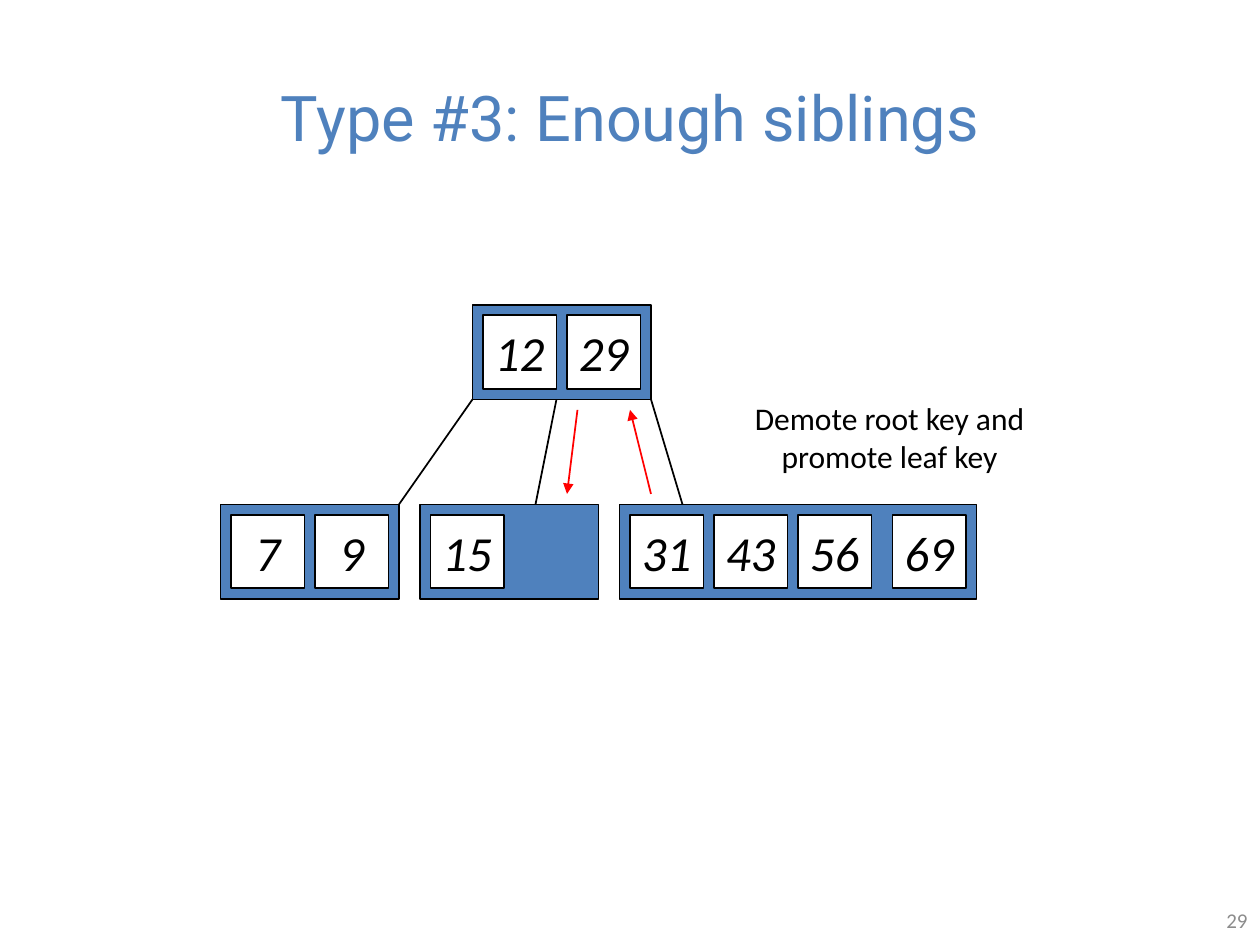
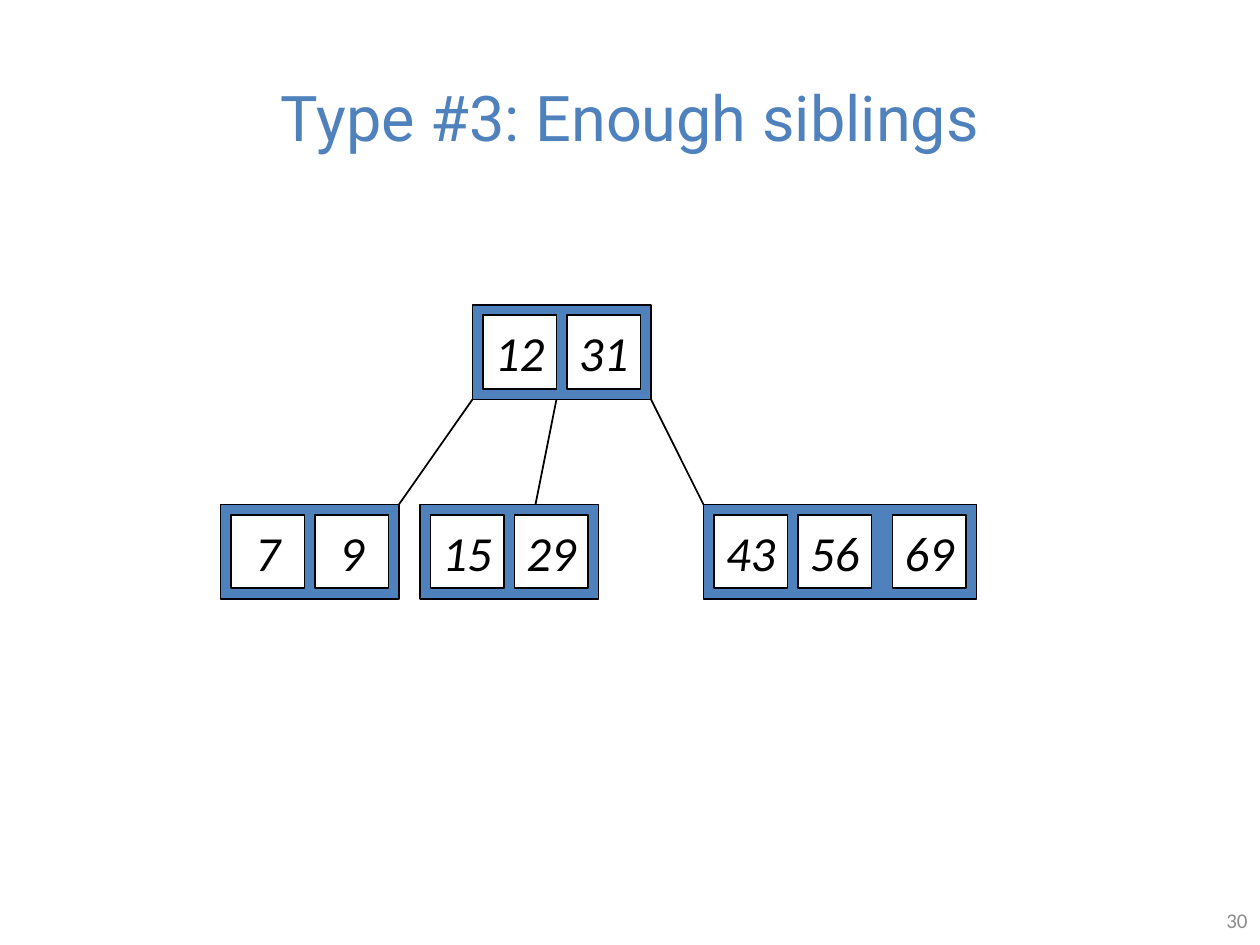
from pptx import Presentation
from pptx.dml.color import RGBColor
from pptx.enum.shapes import MSO_CONNECTOR, MSO_SHAPE
from pptx.enum.text import MSO_ANCHOR, PP_ALIGN
from pptx.oxml.ns import qn
from pptx.util import Inches, Pt
from lxml import etree

RECTANGLE = MSO_SHAPE.RECTANGLE
STRAIGHT = MSO_CONNECTOR.STRAIGHT
MIDDLE = MSO_ANCHOR.MIDDLE
CENTER, RIGHT = PP_ALIGN.CENTER, PP_ALIGN.RIGHT
TITLE_ONLY = 5

BLUE, BLACK, WHITE, RED, GREY = "4F81BD", "000000", "FFFFFF", "FF0000", "8C8C8C"
TITLE_FONT, BODY_FONT = "Roboto", "Calibri"

TITLE_BOX = (0.5, 0.3, 9, 1.25)
NUMBER_BOX = (7.67, 7.1, 2.33, 0.4)
NOTE_BOX = (5.67, 3.08, 2.78, 0.77)
TREE_ORIGIN = (1.75, 2.42)

# The tree is laid out in twelfths of an inch.
UNITS_PER_INCH = 12
KEY_SIZE, GAP = 7, 1
NODE_HEIGHT = KEY_SIZE + 2 * GAP
LEAF_TOP = 19
ROOT_LEFT = 24


def color(hex_text):
    return RGBColor.from_string(hex_text)


def inches(values):
    return [Inches(value) for value in values]


def tree_point(origin, x, y):
    return origin[0] + x / UNITS_PER_INCH, origin[1] + y / UNITS_PER_INCH


def write(frame, lines, size, font, hex_text, align=CENTER, italic=False, wrap=True):
    frame.word_wrap = wrap
    frame.vertical_anchor = MIDDLE
    for index, line in enumerate(lines):
        para = frame.paragraphs[0] if index == 0 else frame.add_paragraph()
        para.alignment = align
        span = para.add_run()
        span.text = line
        span.font.size = Pt(size)
        span.font.name = font
        span.font.italic = italic
        span.font.color.rgb = color(hex_text)


def add_text(page, box, lines, size, hex_text, **style):
    frame = page.shapes.add_textbox(*inches(box)).text_frame
    write(frame, lines, size, BODY_FONT, hex_text, **style)


def add_square_box(page, origin, x, y, width, height, fill):
    size = (width / UNITS_PER_INCH, height / UNITS_PER_INCH)
    shape = page.shapes.add_shape(RECTANGLE, *inches(tree_point(origin, x, y) + size))
    shape.shadow.inherit = False
    shape.fill.solid()
    shape.fill.fore_color.rgb = color(fill)
    shape.line.color.rgb = color(BLACK)
    shape.line.width = Pt(1)
    return shape


def add_line(page, origin, start, end, hex_text=BLACK, arrow=False):
    ends = tree_point(origin, *start) + tree_point(origin, *end)
    line = page.shapes.add_connector(STRAIGHT, *inches(ends))
    line.line.color.rgb = color(hex_text)
    line.line.width = Pt(1)
    if arrow:
        etree.SubElement(line.line._get_or_add_ln(), qn("a:tailEnd"), type="triangle")
    etree.SubElement(line._element.spPr, qn("a:effectLst"))


def add_node(page, origin, left, top, keys, slots=None, last_gap=GAP):
    """Draw a node with its keys; last_gap is the space before the final slot."""
    slots = slots or len(keys)
    extra = last_gap - GAP
    width = GAP + slots * (KEY_SIZE + GAP) + extra
    add_square_box(page, origin, left, top, width, NODE_HEIGHT, BLUE)
    for slot, key in enumerate(keys):
        x = left + GAP + slot * (KEY_SIZE + GAP)
        if slot == slots - 1:
            x += extra
        cell = add_square_box(page, origin, x, top + GAP, KEY_SIZE, KEY_SIZE, WHITE)
        write(cell.text_frame, [key], 28, BODY_FONT, BLACK, italic=True, wrap=False)


def add_tree(page, origin, root, middle, right, right_left, right_link):
    add_node(page, origin, ROOT_LEFT, 0, root)
    add_node(page, origin, 0, LEAF_TOP, ["7", "9"])
    add_node(page, origin, 19, LEAF_TOP, middle, slots=2)
    add_node(page, origin, right_left, LEAF_TOP, right, last_gap=2 * GAP)
    for root_x, leaf_x in [(ROOT_LEFT, 17), (32, 30), (41, right_link)]:
        add_line(page, origin, (root_x, NODE_HEIGHT), (leaf_x, LEAF_TOP))


def add_key_moves(page, origin, note_box):
    high, low = NODE_HEIGHT + GAP, LEAF_TOP - GAP
    add_line(page, origin, (41, low), (39, high), RED, arrow=True)
    add_line(page, origin, (34, high), (33, low), RED, arrow=True)
    add_text(page, note_box, ["Demote root key and", "promote leaf key"], 18, BLACK, wrap=False)


def add_page(deck, number):
    """Add a page with the shared title and its page number."""
    page = deck.slides.add_slide(deck.slide_layouts[TITLE_ONLY])
    title = page.shapes.title
    title.left, title.top, title.width, title.height = inches(TITLE_BOX)
    write(title.text_frame, ["Type #3: Enough siblings"], 36, TITLE_FONT, BLUE)
    add_text(page, NUMBER_BOX, [str(number)], 12, GREY, align=RIGHT)
    return page


def main():
    deck = Presentation()
    deck.slide_width, deck.slide_height = Inches(10), Inches(7.5)

    before = add_page(deck, 29)
    add_tree(before, TREE_ORIGIN, ["12", "29"], ["15"], ["31", "43", "56", "69"],
             right_left=38, right_link=44)
    add_key_moves(before, TREE_ORIGIN, NOTE_BOX)

    after = add_page(deck, 30)
    add_tree(after, TREE_ORIGIN, ["12", "31"], ["15", "29"], ["43", "56", "69"],
             right_left=46, right_link=46)

    deck.save("out.pptx")


if __name__ == "__main__":
    main()
